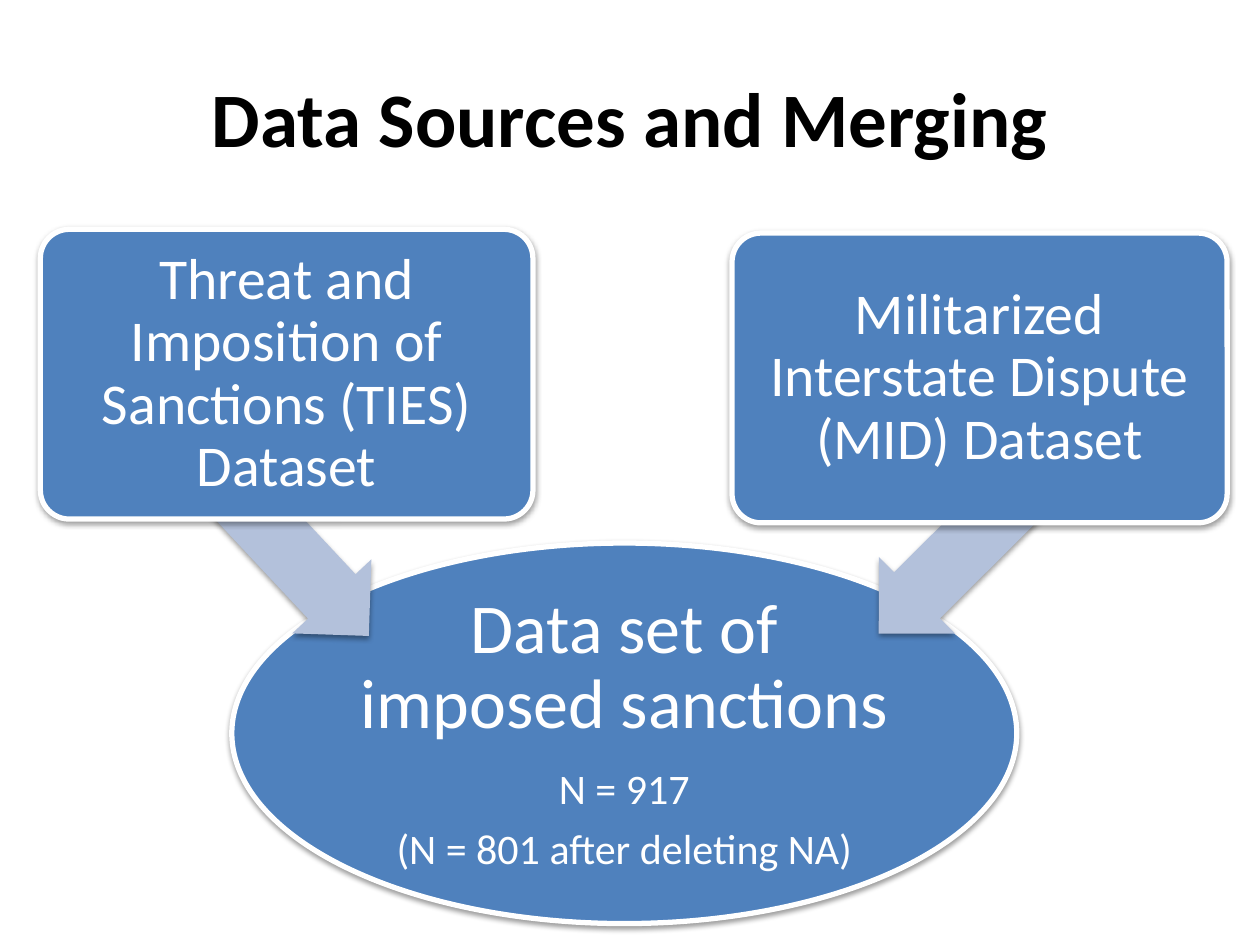
import pptx
import pptx.dml.color
import pptx.enum.shapes
import pptx.enum.text
import pptx.oxml
import pptx.oxml.ns
import pptx.util

COLORS = {"title": "000000", "node": "4F81BD", "arrow": "B3C1DB", "light": "FFFFFF"}
FONT = "Calibri"
SHAPES = pptx.enum.shapes.MSO_SHAPE
SHADOW = (
    f'<a:outerShdw {pptx.oxml.ns.nsdecls("a")} blurRad="40000" dist="20000" '
    'dir="5400000" rotWithShape="0"><a:srgbClr val="000000">'
    '<a:alpha val="38000"/></a:srgbClr></a:outerShdw>'
)

deck = pptx.Presentation()
deck.slide_width = pptx.util.Inches(10)
deck.slide_height = pptx.util.Inches(7.5)
# The page is a grid of 100 columns by 75 rows
UNIT = deck.slide_width / 100
page = deck.slides.add_slide(deck.slide_layouts[5])


def add_part(kind, place, fill, adjustments=(), rotation=0):
    """Add a filled, softly shadowed shape at grid (left, top, width, height)."""
    part = page.shapes.add_shape(kind, *[round(length * UNIT) for length in place])
    for index, value in enumerate(adjustments):
        part.adjustments[index] = value
    part.rotation = rotation
    part.fill.solid()
    part.fill.fore_color.rgb = pptx.dml.color.RGBColor.from_string(COLORS[fill])
    part.line.fill.background()
    part.shadow.inherit = False
    effects = part._element.spPr.find(pptx.oxml.ns.qn("a:effectLst"))
    effects.append(pptx.oxml.parse_xml(SHADOW))
    return part


def write(frame, lines, color, bold=False):
    """Fill a text frame with centred (text, size) paragraphs."""
    frame.word_wrap = True
    frame.vertical_anchor = pptx.enum.text.MSO_ANCHOR.MIDDLE
    for index, (text, size) in enumerate(lines):
        para = frame.add_paragraph() if index else frame.paragraphs[0]
        para.alignment = pptx.enum.text.PP_ALIGN.CENTER
        span = para.add_run()
        span.text = text
        span.font.name = FONT
        span.font.size = pptx.util.Pt(size)
        span.font.bold = bold
        span.font.color.rgb = pptx.dml.color.RGBColor.from_string(COLORS[color])


# Title
title = page.shapes.title
title.left, title.top, title.width, title.height = [
    round(length * UNIT) for length in (5, 3, 90, 12.5)
]
write(title.text_frame, [("Data Sources and Merging", 44)], "title", bold=True)

# Merged data set, then each source on top of its arrow
merged_lines = [
    ("Data set of imposed sanctions", 40),
    ("N = 917", 24),
    ("(N = 801 after deleting NA)", 24),
]
ties_lines = [("Threat and Imposition of Sanctions (TIES) Dataset", 33)]
mid_lines = [("Militarized Interstate Dispute (MID) Dataset", 33)]
nodes = [
    (SHAPES.OVAL, (18.4, 43.1, 62.3, 30.2), (), 0.03, merged_lines, None),
    (SHAPES.ROUNDED_RECTANGLE, (3.2, 18.2, 39.1, 23), (0.1,), 0.07, ties_lines,
     ((13.2, 39.2, 19.1, 8.6), 226.9)),
    (SHAPES.ROUNDED_RECTANGLE, (58.1, 18.5, 39.3, 23), (0.1,), 0.07, mid_lines,
     ((66.9, 39.1, 19.5, 8.6), 315.1)),
]
for kind, place, adjustments, inset, lines, arrow in nodes:
    if arrow:
        arrow_place, angle = arrow
        add_part(SHAPES.LEFT_ARROW, arrow_place, "arrow", (0.6, 0.5), angle)
    node = add_part(kind, place, "node", adjustments)
    node.line.color.rgb = pptx.dml.color.RGBColor.from_string(COLORS["light"])
    node.line.width = pptx.util.Pt(3)
    frame = node.text_frame
    frame.margin_left = frame.margin_right = pptx.util.Inches(inset)
    frame.margin_top = frame.margin_bottom = pptx.util.Inches(inset)
    write(frame, lines, "light")
    for para, (text, size) in zip(frame.paragraphs, lines):
        para.line_spacing = 0.9
        para.space_after = pptx.util.Pt(0.35 * size)

deck.save("out.pptx")
